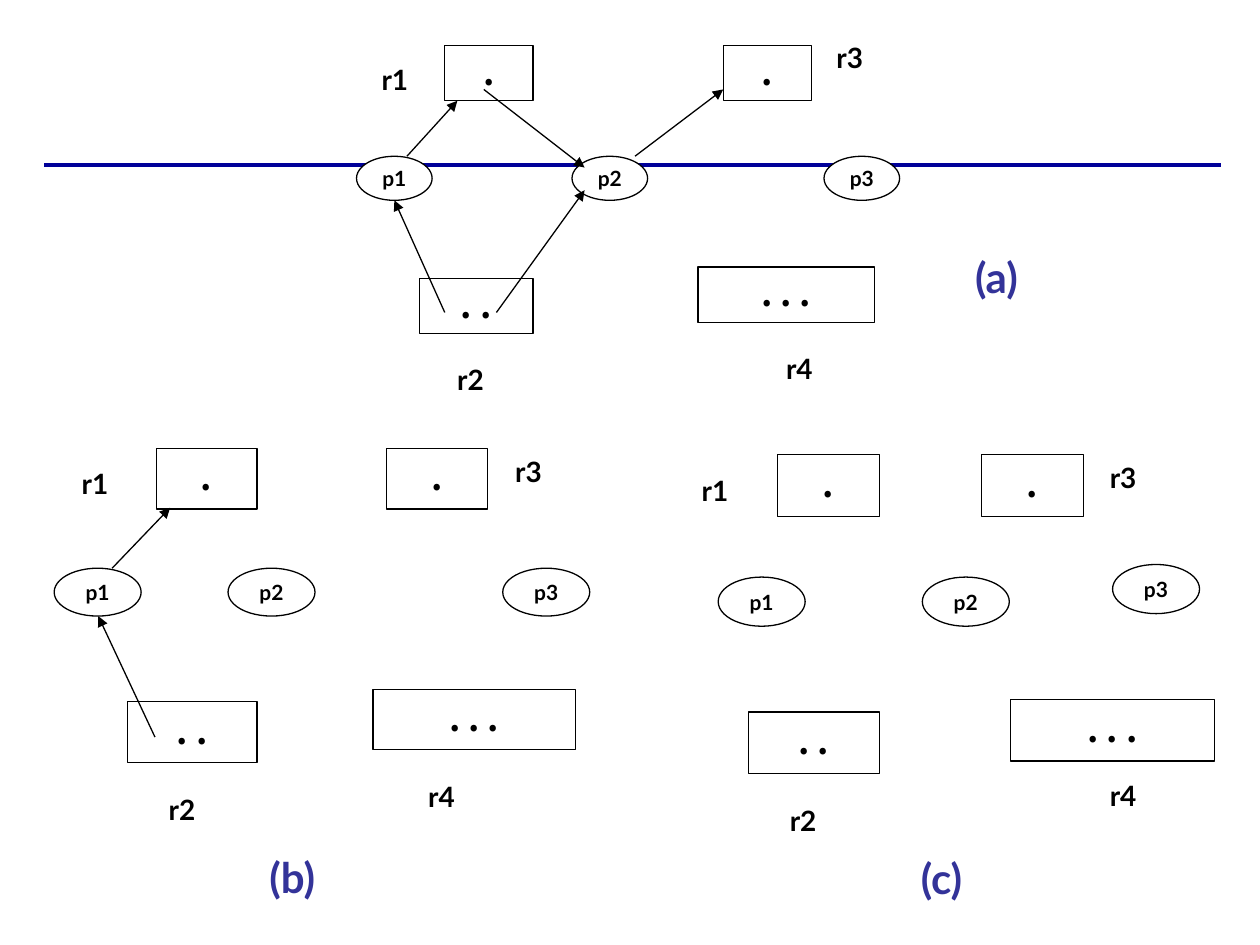
from pptx import Presentation
from pptx.dml.color import RGBColor
from pptx.enum.shapes import MSO_CONNECTOR, MSO_SHAPE
from pptx.enum.text import MSO_ANCHOR, MSO_AUTO_SIZE, PP_ALIGN
from pptx.oxml.ns import qn
from pptx.util import Pt
from lxml.etree import SubElement

PX = 9144
BLACK = RGBColor(0x00, 0x00, 0x00)
WHITE = RGBColor(0xFF, 0xFF, 0xFF)
NAVY = RGBColor(0x00, 0x00, 0x99)
INDIGO = RGBColor(0x33, 0x33, 0x99)

PANELS = [
    {
        "process_size": (60, 35),
        "processes": [("p2", 454, 124), ("p1", 283, 124), ("p3", 654, 124)],
        "resource_height": 44,
        "resources": [(".", 353, 36, 70), (".", 574, 36, 70),
                      (". .", 333, 221, 90), (". . .", 554, 212, 140)],
        "label_width": 50,
        "labels": [("r1", 293, 45), ("r3", 654, 27), ("r2", 353, 283), ("r4", 614, 274)],
        "arrows": [(384, 71, 464, 133), (394, 248, 464, 151), (353, 248, 313, 159),
                   (323, 124, 363, 80), (504, 124, 574, 71)],
        "caption": ("(a)", 764, 195, 90),
    },
    {
        "process_size": (69, 38),
        "processes": [("p2", 181, 451), ("p1", 43, 451), ("p3", 399, 451)],
        "resource_height": 48,
        "resources": [(".", 124, 356, 80), (".", 307, 356, 80),
                      (". .", 101, 557, 103), (". . .", 296, 547, 161)],
        "label_width": 57,
        "labels": [("r1", 55, 365), ("r3", 399, 356), ("r2", 124, 624), ("r4", 330, 614)],
        "arrows": [(123, 585, 78, 489), (89, 451, 135, 403)],
        "caption": ("(b)", 204, 671, 103),
    },
    {
        "process_size": (69, 39),
        "processes": [("p2", 732, 458), ("p1", 570, 458), ("p3", 883, 448)],
        "resource_height": 49,
        "resources": [(".", 617, 361, 81), (".", 779, 361, 81),
                      (". .", 594, 565, 104), (". . .", 802, 555, 162)],
        "label_width": 58,
        "labels": [("r1", 547, 371), ("r3", 871, 361), ("r2", 617, 633), ("r4", 871, 613)],
        "arrows": [],
        "caption": ("(c)", 721, 672, 104),
    },
]


def add_text(shapes, kind, text, box, size, font="Lato", color=BLACK):
    x, y, w, h = [v * PX for v in box]
    if kind is None:
        sp = shapes.add_textbox(x, y, w, h)
    else:
        sp = shapes.add_shape(kind, x, y, w, h)
        sp.shadow.inherit = False
        sp.fill.solid()
        sp.fill.fore_color.rgb = WHITE
        sp.line.color.rgb = BLACK
        sp.line.width = Pt(0.75)
    tf = sp.text_frame
    tf.text = text
    p = tf.paragraphs[0]
    if kind is None:
        tf.word_wrap = True
        tf.auto_size = MSO_AUTO_SIZE.SHAPE_TO_FIT_TEXT
    else:
        tf.word_wrap = False
        tf.vertical_anchor = MSO_ANCHOR.MIDDLE
        p.alignment = PP_ALIGN.CENTER
    if kind == MSO_SHAPE.RECTANGLE:
        p.line_spacing = 0.95
    r = p.runs[0]
    r.font.name = font
    r.font.size = Pt(size)
    r.font.bold = True
    r.font.color.rgb = color


def add_line(shapes, ends, color, width, arrow):
    line = shapes.add_connector(MSO_CONNECTOR.STRAIGHT, *[v * PX for v in ends])
    line.line.color.rgb = color
    line.line.width = Pt(width)
    if arrow:
        SubElement(line.line._get_or_add_ln(), qn("a:tailEnd"), type="triangle")
    SubElement(line._element.spPr, qn("a:effectLst"))


prs = Presentation()
prs.slide_width = 1000 * PX
prs.slide_height = 750 * PX
s = prs.slides.add_slide(prs.slide_layouts[6])

add_line(s.shapes, (35, 131, 969, 131), NAVY, 2.5, False)

for panel in PANELS:
    shapes = s.shapes.add_group_shape().shapes
    for name, x, y in panel["processes"]:
        add_text(shapes, MSO_SHAPE.OVAL, name, (x, y, *panel["process_size"]), 12)
    for dots, x, y, w in panel["resources"]:
        add_text(shapes, MSO_SHAPE.RECTANGLE, dots,
                 (x, y, w, panel["resource_height"]), 20, "Noto Sans CJK SC")
    for name, x, y in panel["labels"]:
        add_text(shapes, None, name, (x, y, panel["label_width"], 37), 16)
    for ends in panel["arrows"]:
        add_line(shapes, ends, BLACK, 0.75, True)
    caption, x, y, w = panel["caption"]
    add_text(shapes, None, caption, (x, y, w, 50), 24, color=INDIGO)

prs.save("out.pptx")
